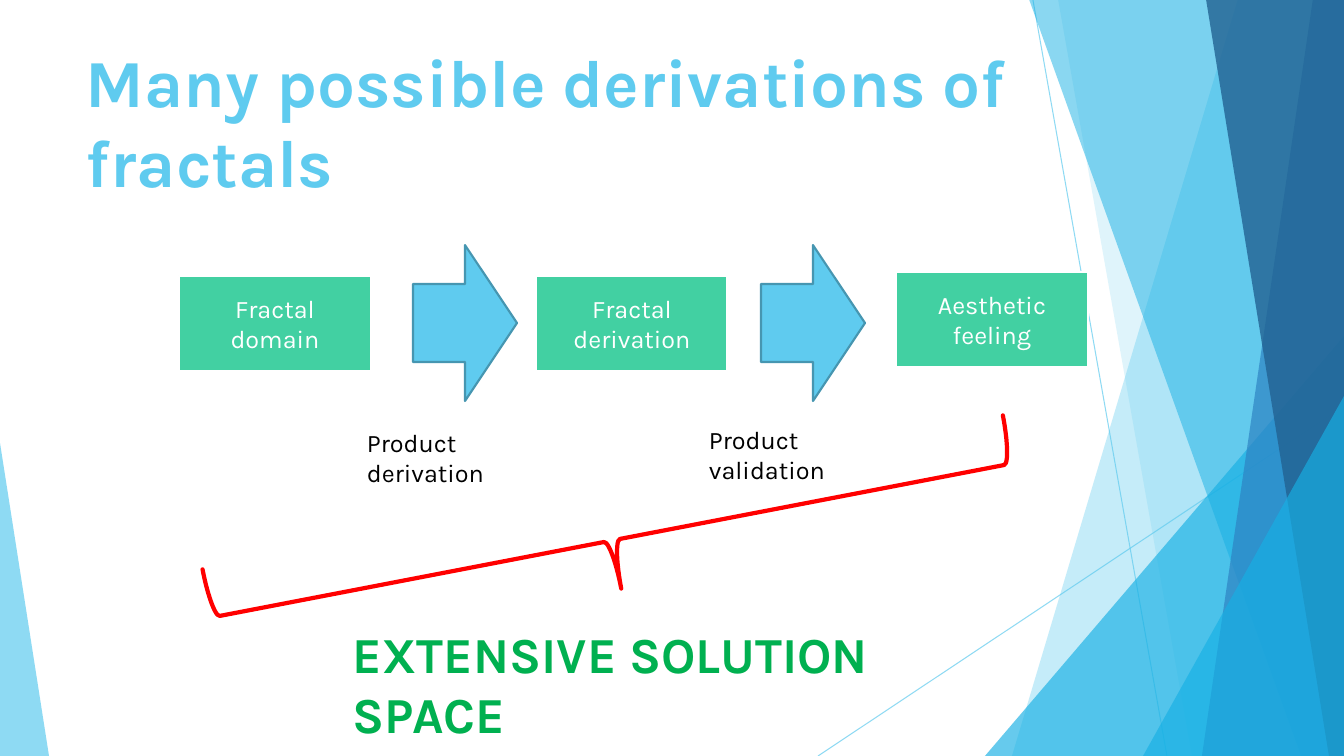
from pptx import Presentation
from pptx.dml.color import RGBColor
from pptx.enum.shapes import MSO_CONNECTOR, MSO_SHAPE as SHAPE
from pptx.enum.text import MSO_ANCHOR as ANCHOR, PP_ALIGN as ALIGN
from pptx.oxml.ns import qn
from pptx.util import Pt
from lxml.etree import SubElement

SKY = RGBColor(0x5F, 0xCB, 0xEF)
CYAN = RGBColor(0x17, 0xB0, 0xE4)
BLUE = RGBColor(0x2E, 0x83, 0xC3)
NAVY = RGBColor(0x22, 0x62, 0x92)
MINT = RGBColor(0x42, 0xD0, 0xA2)
ARROW_EDGE = RGBColor(0x46, 0x96, 0xB1)
RED = RGBColor(0xFF, 0x00, 0x00)
GREEN = RGBColor(0x00, 0xB0, 0x50)
BLACK = RGBColor(0x00, 0x00, 0x00)
WHITE = RGBColor(0xFF, 0xFF, 0xFF)

FONT = "Karla"
WIDTH, HEIGHT = 1344, 756
EMU_PER_PX = 12192000 / WIDTH

# Content: lengths in px
RAYS = [(1033, 0, 1167, 756), (1344, 406, 818, 756)]
# Facets: ("band", top x, bottom x) or ("triangle", box, apex), colour, opacity %
FACETS = [
    ("band", (1238, 1012), SKY, 36),
    ("band", (1058, 1192), SKY, 20),
    ("triangle", (985, 336, 359, 420, 1), CYAN, 66),
    ("band", (1029, 1301), CYAN, 50),
    ("band", (1313, 1202), BLUE, 70),
    ("band", (1206, 1329), NAVY, 80),
    ("triangle", (1143, 396, 201, 360, 1), CYAN, 66),
    ("triangle", (0, 443, 49, 313, 0), SKY, 70),
]
STAGES = [
    ("Fractal domain", 179, 276),
    ("Fractal derivation", 536, 276),
    ("Aesthetic feeling", 896, 272),
]
STAGE_SIZE = (192, 95)
ARROWS = [(413, 245), (761, 245)]
ARROW_SIZE = (104, 156)
# Texts: wording, box, size, colour, bold
TEXTS = [
    ("Many possible derivations of fractals", (76, 35, 948, 145), 48, SKY, True),
    ("Product derivation", (357, 422, 231, 40), 18, BLACK, False),
    ("Product validation", (699, 419, 228, 40), 18, BLACK, False),
    ("EXTENSIVE SOLUTION SPACE", (343, 618, 689, 72), 36, GREEN, True),
]
BRACE = (563, 133, 98, 815)
BRACE_TURN = 79.1


def px(*lengths):
    return [round(length * EMU_PER_PX) for length in lengths]


def set_opacity(shape, percent):
    color = next(shape.element.spPr.iter(qn("a:srgbClr")))
    SubElement(color, qn("a:alpha")).set("val", str(percent * 1000))


def style(shape, fill=None, line=None, weight=1):
    shape.shadow.inherit = False
    if fill is None:
        shape.fill.background()
    else:
        shape.fill.solid()
        shape.fill.fore_color.rgb = fill
    if line is None:
        shape.line.fill.background()
    else:
        shape.line.color.rgb = line
        shape.line.width = Pt(weight)


def write(shape, text, size, color, bold=False, align=ALIGN.LEFT, anchor=ANCHOR.TOP):
    frame = shape.text_frame
    frame.text = text
    frame.word_wrap = True
    frame.vertical_anchor = anchor
    para = frame.paragraphs[0]
    para.alignment = align
    font = para.runs[0].font
    font.name, font.size, font.bold = FONT, Pt(size), bold
    font.color.rgb = color


deck = Presentation()
deck.slide_width, deck.slide_height = px(WIDTH, HEIGHT)
page = deck.slides.add_slide(deck.slide_layouts[6])
shapes = page.shapes

# Thin background rays
for ends in RAYS:
    ray = shapes.add_connector(MSO_CONNECTOR.STRAIGHT, *px(*ends))
    ray.line.color.rgb = SKY
    ray.line.width = Pt(0.75)
    set_opacity(ray, 70)
    SubElement(ray.element.spPr, qn("a:effectLst"))

# Translucent facets
for kind, geometry, color, opacity in FACETS:
    if kind == "band":
        top, bottom = geometry
        outline = shapes.build_freeform(top, -1, EMU_PER_PX)
        outline.add_line_segments([(WIDTH, -1), (WIDTH, HEIGHT), (bottom, HEIGHT)])
        facet = outline.convert_to_shape()
    else:
        *box, apex = geometry
        facet = shapes.add_shape(SHAPE.ISOSCELES_TRIANGLE, *px(*box))
        facet.adjustments[0] = apex
    style(facet, color)
    set_opacity(facet, opacity)

# Stages and the arrows between them
for text, left, top in STAGES:
    stage = shapes.add_shape(SHAPE.RECTANGLE, *px(left, top, *STAGE_SIZE))
    style(stage, MINT, WHITE, 2)
    write(stage, text, 18, WHITE, align=ALIGN.CENTER, anchor=ANCHOR.MIDDLE)
for left, top in ARROWS:
    arrow = shapes.add_shape(SHAPE.RIGHT_ARROW, *px(left, top, *ARROW_SIZE))
    style(arrow, SKY, ARROW_EDGE, 1.5)

# Tilted brace
brace = shapes.add_shape(SHAPE.RIGHT_BRACE, *px(*BRACE))
brace.rotation = BRACE_TURN
style(brace, line=RED, weight=3)
brace.element.spPr.find(qn("a:ln")).set("cap", "rnd")

# Title, labels and conclusion; the right margin sets the line break
for text, box, size, color, bold in TEXTS:
    label = shapes.add_textbox(*px(*box))
    write(label, text, size, color, bold)
    label.text_frame.margin_right = px(16)[0]

deck.save("out.pptx")
